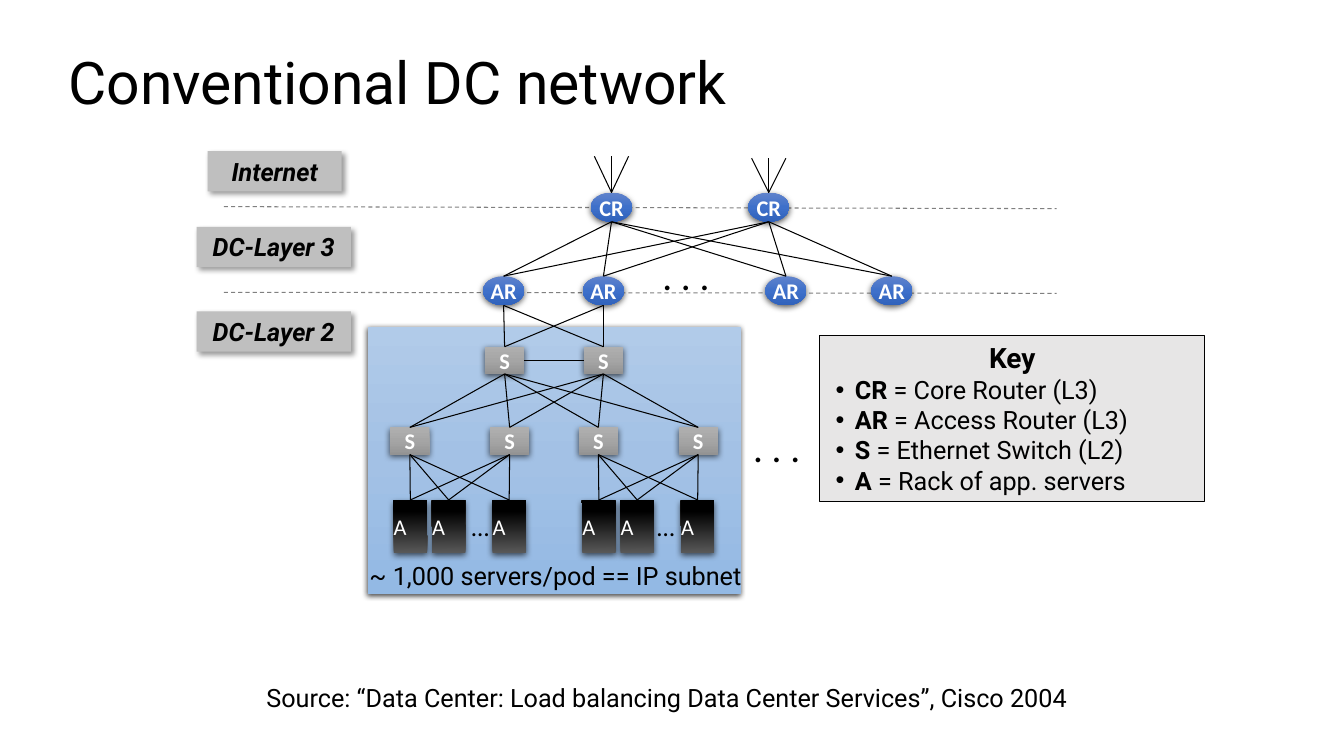
from itertools import product

from lxml.etree import SubElement as Sub
from pptx import Presentation as Deck
from pptx.dml.color import RGBColor as Rgb
from pptx.enum.dml import MSO_LINE as Dash
from pptx.enum.shapes import MSO_CONNECTOR as Wire, MSO_SHAPE as Form
from pptx.enum.text import MSO_ANCHOR as Anchor, MSO_AUTO_SIZE as Auto, PP_ALIGN as Align
from pptx.oxml.ns import qn
from pptx.util import Emu, Pt

SCALE = 9144
BLACK = Rgb(0x00, 0x00, 0x00)
WHITE = Rgb(0xFF, 0xFF, 0xFF)
GREY = Rgb(0x80, 0x80, 0x80)
SILVER = Rgb(0xBF, 0xBF, 0xBF)
PALE = Rgb(0xE7, 0xE6, 0xE6)
SKY = [(0, Rgb(0xB1, 0xCB, 0xE9)), (50, Rgb(0xA3, 0xC1, 0xE5)), (100, Rgb(0x93, 0xB9, 0xE4))]
BLUE = [(0, Rgb(0x61, 0x83, 0xCB)), (50, Rgb(0x3E, 0x70, 0xCA)), (100, Rgb(0x30, 0x62, 0xBB))]
STEEL = [(0, Rgb(0xAF, 0xAF, 0xAF)), (50, Rgb(0xA5, 0xA5, 0xA5)), (100, Rgb(0x93, 0x93, 0x93))]
COAL = [(0, Rgb(0x59, 0x59, 0x59)), (80, BLACK), (100, BLACK)]

PLAIN = {"name": "Roboto", "size": Pt(18)}
BOLD = {**PLAIN, "bold": True}
LABEL = {**BOLD, "italic": True}
TITLE = {**PLAIN, "size": Pt(42)}
HEAD = {**BOLD, "size": Pt(20)}
RACK = {"name": "Calibri", "size": Pt(16)}
NODE = {**RACK, "bold": True}
DOTS = {"name": "Calibri", "size": Pt(28)}
SMALL = {"name": "Calibri", "size": Pt(18)}

TIGHT = {"word_wrap": False, "vertical_anchor": Anchor.MIDDLE, "margin_left": 0,
         "margin_right": 0, "margin_top": 0, "margin_bottom": 0}
GROW = {"word_wrap": True, "vertical_anchor": Anchor.TOP, "auto_size": Auto.SHAPE_TO_FIT_TEXT}
LOOSE = {**GROW, "word_wrap": False}
MIDDLE = {"word_wrap": True, "vertical_anchor": Anchor.MIDDLE}

POD_SHADE = (69, 4, 1.6, 120)
NODE_SHADE = (63, 4.5, 1.5, 90)
TAG_SHADE = (40, 4, 3, 45)


def px(*nums):
    return [Emu(round(num * SCALE)) for num in nums]


def style(item, looks):
    for key, value in looks.items():
        setattr(item, key, value)


def write(para, text, font, color=BLACK):
    run = para.add_run()
    run.text = text
    style(run.font, font)
    run.font.color.rgb = color


def label(shape, text, font, frame, color=BLACK, align=Align.CENTER):
    style(shape.text_frame, frame)
    para = shape.text_frame.paragraphs[0]
    para.alignment = align
    write(para, text, font, color)
    return para


def note(slide, box, text, font, frame, align=Align.CENTER):
    return label(slide.shapes.add_textbox(*px(*box)), text, font, frame, align=align)


def blend(shape, stops, angle):
    shape.fill.gradient()
    shape.fill.gradient_angle = angle
    ramp = shape._element.spPr.find(".//" + qn("a:gsLst"))
    for stop in list(ramp):
        ramp.remove(stop)
    for place, color in stops:
        stop = Sub(ramp, qn("a:gs"), pos=str(place * 1000))
        Sub(stop, qn("a:srgbClr"), val=str(color))


def shade(shape, alpha, blur, shift, angle):
    cast = Sub(shape._element.spPr.find(qn("a:effectLst")), qn("a:outerShdw"),
               blurRad=str(Pt(blur)), dist=str(Pt(shift)), dir=str(angle * 60000),
               algn="ctr", rotWithShape="0")
    tint = Sub(cast, qn("a:srgbClr"), val=str(BLACK))
    Sub(tint, qn("a:alpha"), val=str(alpha * 1000))


def block(slide, form, box, paint, cast=None, angle=270):
    shape = slide.shapes.add_shape(form, *px(*box))
    shape.shadow.inherit = False
    shape.line.fill.background()
    if isinstance(paint, list):
        blend(shape, paint, angle)
    else:
        shape.fill.solid()
        shape.fill.fore_color.rgb = paint
    if cast:
        shade(shape, *cast)
    return shape


def router(slide, name, left, top):
    shape = block(slide, Form.OVAL, (left, top, 41, 29), BLUE, NODE_SHADE)
    label(shape, name, NODE, TIGHT, WHITE)
    return shape


def switch(slide, left, top):
    shape = block(slide, Form.RECTANGLE, (left, top, 39, 27), STEEL, NODE_SHADE)
    label(shape, "S", NODE, TIGHT, WHITE)
    return shape


def rack(slide, left):
    shape = block(slide, Form.FLOWCHART_PREDEFINED_PROCESS, (left, 506, 52, 33),
                  COAL, NODE_SHADE, 0)
    shape.rotation = 269.5
    label(shape, "A", RACK, TIGHT, WHITE)
    shape.text_frame._txBody.bodyPr.set("vert", "eaVert")
    return left + 26, 496


def tag(slide, text, box, frame):
    label(block(slide, Form.RECTANGLE, box, SILVER, TAG_SHADE), text, LABEL, frame)


def line(slide, start, end, color=BLACK):
    wire = slide.shapes.add_connector(Wire.STRAIGHT, *px(*start, *end))
    wire.line.color.rgb = color
    wire.line.width = Pt(0.75)
    Sub(wire._element.spPr, qn("a:effectLst"))
    return wire


def spot(shape, side):
    across, down = [(0.5, 0), (0, 0.5), (0.5, 1), (1, 0.5)][side]
    return ((shape.left + shape.width * across) / SCALE,
            (shape.top + shape.height * down) / SCALE)


def link(slide, first, second, sides=(2, 0)):
    wire = line(slide, spot(first, sides[0]), spot(second, sides[1]))
    for shape, side, join in ((first, sides[0], wire.begin_connect),
                              (second, sides[1], wire.end_connect)):
        if shape.auto_shape_type == Form.RECTANGLE:
            join(shape, side)


def mesh(slide, uppers, lowers):
    for upper, lower in product(uppers, lowers):
        link(slide, upper, lower)


def legend(slide):
    box = block(slide, Form.RECTANGLE, (813, 333, 382, 165), PALE)
    box.line.color.rgb = BLACK
    box.line.width = Pt(0.75)
    label(box, "Key", HEAD, GROW)
    for name, sense in (("CR", "Core Router (L3)"), ("AR", "Access Router (L3)"),
                        ("S", "Ethernet Switch (L2)"), ("A", "Rack of app. servers")):
        para = box.text_frame.add_paragraph()
        para.alignment = Align.LEFT
        props = para._p.get_or_add_pPr()
        props.set("marL", str(25 * SCALE))
        props.set("indent", str(-19 * SCALE))
        Sub(props, qn("a:buFont"), typeface="Arial")
        Sub(props, qn("a:buChar"), char="•")
        write(para, name, BOLD)
        write(para, " = " + sense, PLAIN)


def main():
    deck = Deck()
    deck.slide_width, deck.slide_height = px(1333, 750)
    slide = deck.slides.add_slide(deck.slide_layouts[6])

    block(slide, Form.RECTANGLE, (365, 324, 370, 265), SKY, POD_SHADE)
    for top, end in ((205, 207), (290, 291)):
        line(slide, (222, top), (1048, end), GREY).line.dash_style = Dash.DASH

    title = note(slide, (58, 22, 976, 125), "Conventional DC network", TITLE, MIDDLE, Align.LEFT)
    title.line_spacing = 0.9
    note(slide, (187, 672, 949, 40),
         "Source: “Data Center: Load balancing Data Center Services”, Cisco 2004", PLAIN, GROW)

    cores = [router(slide, "CR", left, 191) for left in (586, 742)]
    gates = [router(slide, "AR", left, 274) for left in (479, 578, 759, 864)]
    mains = [switch(slide, left, 344) for left in (481, 579)]
    mesh(slide, cores, gates)
    mesh(slide, gates[:2], mains)
    link(slide, *mains, sides=(3, 1))

    for core, top in zip(cores, (155, 157)):
        mid, base = spot(core, 0)
        for shift in (-17, 0, 17):
            line(slide, (mid + shift, top), (mid, base))

    for left, gap in ((387, 458), (574, 642)):
        leaves = [switch(slide, left + shift, 424) for shift in (0, 99)]
        mesh(slide, mains, leaves)
        peaks = [rack(slide, left + shift) for shift in (-6, 32, 92)]
        for leaf, peak in product(leaves, peaks):
            line(slide, spot(leaf, 2), peak).begin_connect(leaf, 2)
        note(slide, (gap, 502, 38, 40), "…", SMALL, LOOSE, Align.LEFT)

    for left, top in ((647, 244), (737, 415)):
        note(slide, (left, top, 68, 57), ". . .", DOTS, LOOSE, Align.LEFT)

    tag(slide, "Internet", (206, 150, 133, 40), GROW)
    tag(slide, "DC-Layer 3", (195, 225, 153, 40), LOOSE)
    tag(slide, "DC-Layer 2", (195, 309, 153, 40), LOOSE)
    legend(slide)
    note(slide, (344, 551, 414, 40), "~ 1,000 servers/pod == IP subnet", PLAIN, GROW)

    deck.save("out.pptx")


if __name__ == "__main__":
    main()
